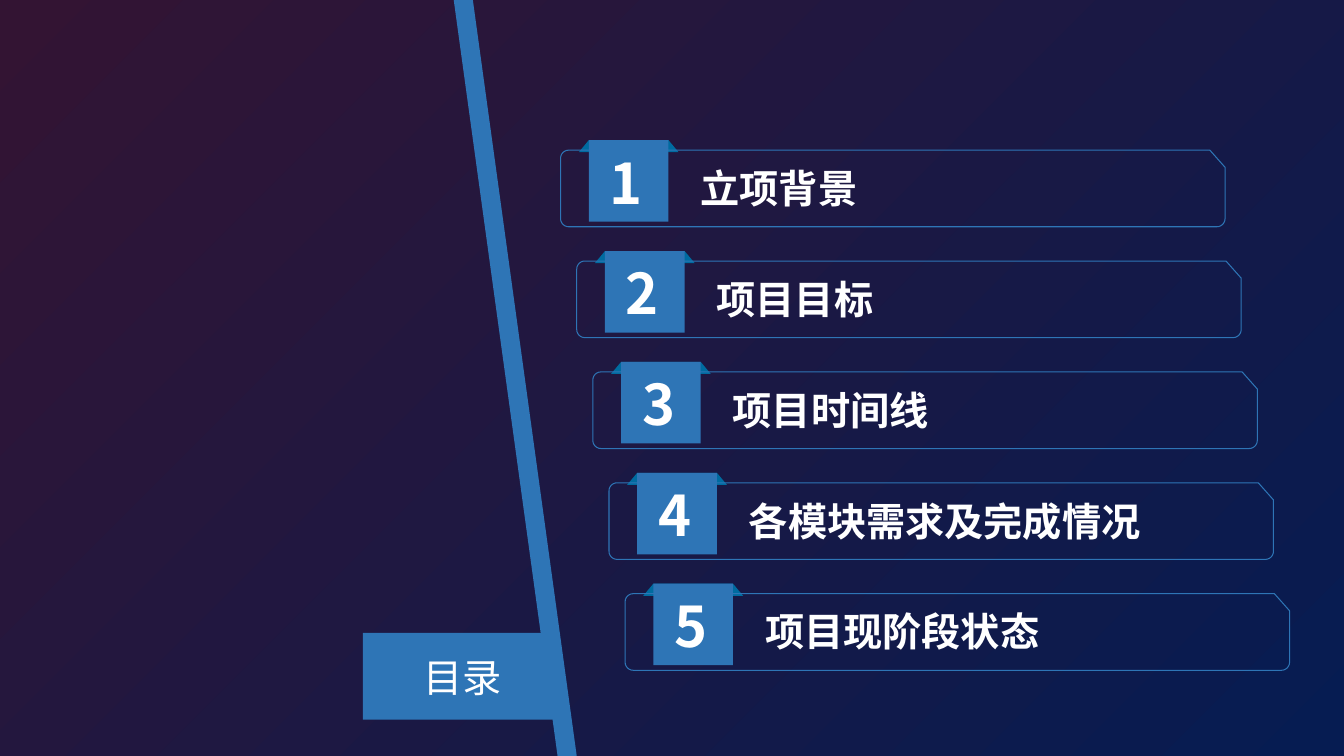
"""Build a table-of-contents slide with five stepped entries."""
from math import cos, radians, sin

from lxml.etree import SubElement
from pptx import Presentation
from pptx.dml.color import RGBColor
from pptx.enum.shapes import MSO_SHAPE
from pptx.enum.text import MSO_ANCHOR, MSO_AUTO_SIZE, PP_ALIGN
from pptx.oxml.ns import qn
from pptx.util import Inches, Pt

FONT = "Noto Sans CJK SC"
BLUE, FOLD_BLUE, WHITE = "2E75B6", "006BA0", "FFFFFF"
ENTRIES = ["立项背景", "项目目标", "项目时间线", "各模块需求及完成情况", "项目现阶段状态"]
LEFT, TOP, STEP_X, STEP_Y = 5.56, 1.49, 0.16, 1.1
FRAME_W, FRAME_H, RADIUS = 6.59, 0.76, 0.08
CUT_W, CUT_H = 0.15, 0.17


def rgb(color):
    return RGBColor.from_string(color)


def box(x, y, w, h):
    return Inches(x), Inches(y), Inches(w), Inches(h)


def paint(sp, fill=None, line=None):
    sp.shadow.inherit = False
    if fill:
        sp.fill.solid()
        sp.fill.fore_color.rgb = rgb(fill)
    else:
        sp.fill.background()
    if line:
        sp.line.color.rgb = rgb(line)
        sp.line.width = Pt(0)
    else:
        sp.line.fill.background()


def add_outline(shapes, points, fill=None, line=None):
    start, *rest = [(Inches(x), Inches(y)) for x, y in points]
    builder = shapes.build_freeform(*start)
    builder.add_line_segments(rest, close=True)
    paint(builder.convert_to_shape(), fill, line)


def add_rect(shapes, x, y, w, h):
    paint(shapes.add_shape(MSO_SHAPE.RECTANGLE, *box(x, y, w, h)), BLUE)


def write(sp, text, size, bold=False):
    tf = sp.text_frame
    tf.word_wrap = False
    tf.auto_size = MSO_AUTO_SIZE.SHAPE_TO_FIT_TEXT
    tf.vertical_anchor = MSO_ANCHOR.TOP
    p = tf.paragraphs[0]
    p.text = text
    p.alignment = PP_ALIGN.LEFT
    p.font.size = Pt(size)
    p.font.bold = bold
    p.font.color.rgb = rgb(WHITE)
    p.font.name = FONT
    SubElement(p.font._rPr, qn("a:ea")).set("typeface", FONT)


def add_text(shapes, x, y, w, h, text, size):
    write(shapes.add_textbox(*box(x, y, w, h)), text, size, bold=True)


def corner(cx, cy, start):
    angles = [radians(start + step) for step in range(0, 91, 15)]
    return [(cx + RADIUS * cos(a), cy + RADIUS * sin(a)) for a in angles]


def frame_points(x, y):
    right, bottom = x + FRAME_W, y + FRAME_H
    return [
        (right - CUT_W, y),
        (right, y + CUT_H),
        *corner(right - RADIUS, bottom - RADIUS, 0),
        *corner(x + RADIUS, bottom - RADIUS, 90),
        *corner(x + RADIUS, y + RADIUS, 180),
    ]


def add_entry(slide, number, title):
    x = LEFT + (number - 1) * STEP_X
    y = TOP + (number - 1) * STEP_Y
    tab_x, tab_y, tab_w = x + 0.28, y - 0.1, 0.79
    fold_y = tab_y + 0.12
    shapes = slide.shapes.add_group_shape().shapes
    add_outline(shapes, [(tab_x, tab_y), (tab_x + tab_w, tab_y),
                         (tab_x + tab_w + 0.1, fold_y), (tab_x - 0.1, fold_y)],
                fill=FOLD_BLUE)
    add_outline(shapes, frame_points(x, y), line=BLUE)
    add_rect(shapes, tab_x, tab_y, tab_w, 0.81)
    add_text(shapes, x + 1.29, y + 0.09, len(title) * 28 / 72 + 0.2, 0.57, title, 28)
    add_text(shapes, x + 0.39, y - 0.07, 0.55, 0.77, str(number), 40)


def add_heading(slide, text):
    add_rect(slide.shapes, 3.6, 6.28, 1.9, 0.86)
    sp = slide.shapes.title
    sp.left, sp.top, sp.width, sp.height = box(4.1, 6.43, 0.99, 0.57)
    write(sp, text, 28)
    slide.shapes._spTree.append(sp._element)


def set_background(slide):
    fill = slide.background.fill
    fill.gradient()
    fill.gradient_angle = 315
    for stop, color in zip(fill.gradient_stops, ["331433", "061C52"]):
        stop.color.rgb = rgb(color)


def main():
    prs = Presentation()
    prs.slide_width, prs.slide_height = Inches(13.33), Inches(7.5)
    slide = prs.slides.add_slide(prs.slide_layouts[5])
    set_background(slide)
    for number, title in enumerate(ENTRIES, 1):
        add_entry(slide, number, title)
    add_heading(slide, "目录")
    add_outline(slide.shapes, [(4.5, 0), (4.69, 0), (5.72, 7.5), (5.53, 7.5)], fill=BLUE)
    prs.save("out.pptx")


if __name__ == "__main__":
    main()
